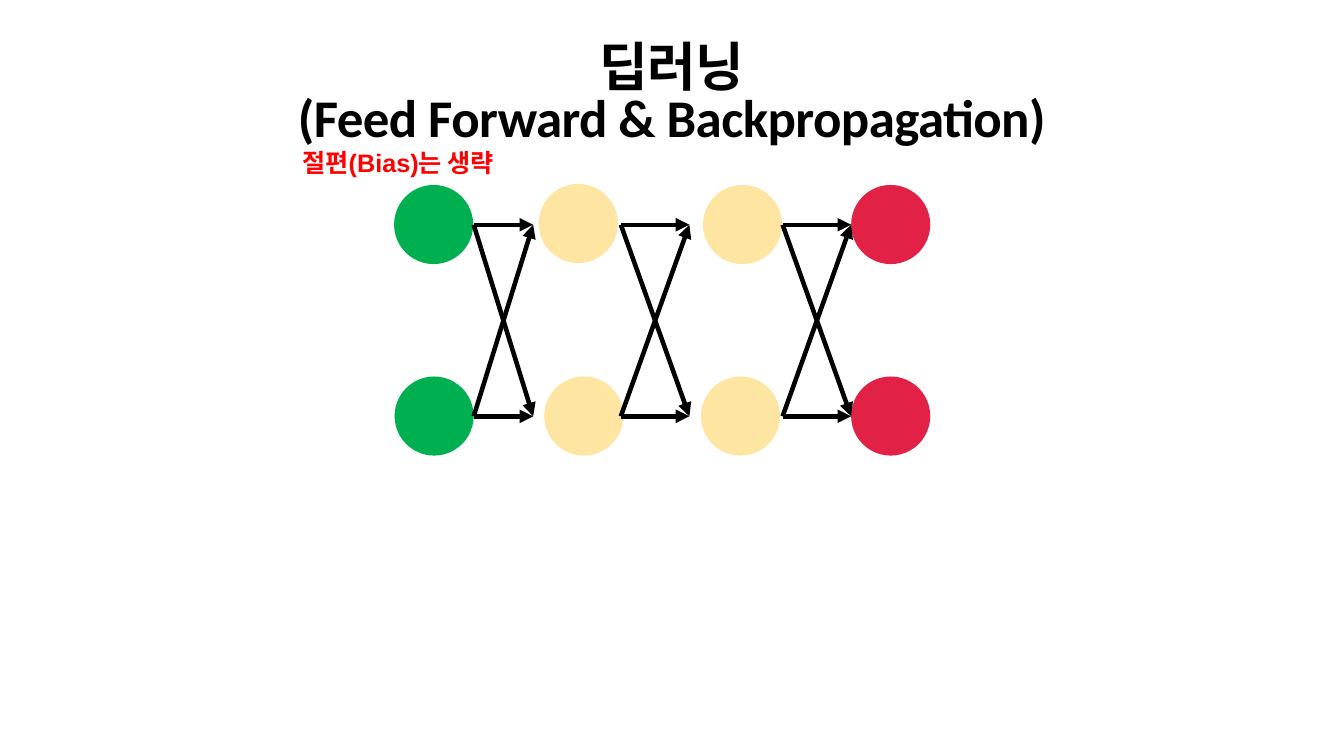
from itertools import product

from lxml import etree
from pptx import Presentation
from pptx import util as u
from pptx.dml.color import RGBColor
from pptx.enum import shapes, text
from pptx.oxml.ns import qn

BLACK, RED = "000000", "FF0000"
GREEN, CREAM, CRIMSON = "00B050", "FFE5A2", "E22146"
DIAMETER = 1.57
TOP, BOTTOM = 3.67, 7.47
NEURONS = [
    (7.82, TOP, GREEN), (7.83, BOTTOM, GREEN),
    (10.69, 3.65, CREAM), (10.8, BOTTOM, CREAM),
    (13.95, TOP, CREAM), (13.91, BOTTOM, CREAM),
    (16.89, TOP, CRIMSON), (16.89, BOTTOM, CRIMSON),
]
LAYER_GAPS = [(9.4, 10.58), (12.32, 13.68), (15.53, 16.89)]
ROW_CENTERS = (4.46, 8.26)


def color(value):
    """Turn a hex string into a colour."""
    return RGBColor.from_string(value)


def place(shape, left, top, width, height):
    """Position and size a shape in inches."""
    shape.left, shape.top = u.Inches(left), u.Inches(top)
    shape.width, shape.height = u.Inches(width), u.Inches(height)


def write(shape, words, font_name, size, font_color, spacing, anchor):
    """Fill a shape with one bold paragraph and return it."""
    frame = shape.text_frame
    frame.word_wrap = True
    frame.auto_size = text.MSO_AUTO_SIZE.NONE
    frame.vertical_anchor = anchor
    frame.margin_left = frame.margin_right = u.Inches(0.06)
    frame.margin_top = frame.margin_bottom = u.Inches(0.06)
    paragraph = frame.paragraphs[0]
    paragraph.text = words
    paragraph.line_spacing = spacing
    font = paragraph.font
    font.name, font.size, font.bold = font_name, u.Pt(size), True
    font.color.rgb = color(font_color)
    return paragraph


def add_title(slide):
    """Write the two-line title in its placeholder."""
    title = slide.shapes.title
    place(title, 1.33, 0.85, 24, 1.89)
    paragraph = write(title, "딥러닝\v(Feed Forward & Backpropagation)", "Calibri",
                      75.6, BLACK, 0.8, text.MSO_ANCHOR.TOP)
    paragraph.alignment = text.PP_ALIGN.CENTER
    for run in paragraph.runs:
        run._r.get_or_add_rPr().set("spc", "-80")


def add_note(slide):
    """Add the remark about the omitted bias."""
    note = slide.shapes.add_textbox(0, 0, 0, 0)
    place(note, 5.94, 2.93, 4.69, 0.66)
    write(note, "절편(Bias)는 생략", "Arial", 36, RED, 0.9, text.MSO_ANCHOR.MIDDLE)


def add_neuron(slide, left, top, fill):
    """Add one filled circle."""
    neuron = slide.shapes.add_shape(shapes.MSO_SHAPE.OVAL, 0, 0, 0, 0)
    place(neuron, left, top, DIAMETER, DIAMETER)
    neuron.shadow.inherit = False
    neuron.fill.solid()
    neuron.fill.fore_color.rgb = color(fill)
    neuron.line.fill.background()


def add_arrow(slide, start_x, start_y, end_x, end_y):
    """Add one straight arrow between two points."""
    arrow = slide.shapes.add_connector(
        shapes.MSO_CONNECTOR.STRAIGHT, u.Inches(start_x), u.Inches(start_y),
        u.Inches(end_x), u.Inches(end_y))
    arrow.line.color.rgb = color(BLACK)
    arrow.line.width = u.Pt(6.5)
    etree.SubElement(arrow.line._get_or_add_ln(), qn("a:tailEnd"), type="triangle")
    etree.SubElement(arrow._element.spPr, qn("a:effectLst"))


def main():
    """Build and save the neural network slide."""
    presentation = Presentation()
    presentation.slide_width = u.Inches(26.67)
    presentation.slide_height = u.Inches(15)
    slide = presentation.slides.add_slide(presentation.slide_layouts[5])
    add_title(slide)
    for left, top, fill in NEURONS:
        add_neuron(slide, left, top, fill)
    for (start_x, end_x), start_y, end_y in product(LAYER_GAPS, ROW_CENTERS, ROW_CENTERS):
        add_arrow(slide, start_x, start_y, end_x, end_y)
    add_note(slide)
    presentation.save("out.pptx")


if __name__ == "__main__":
    main()
